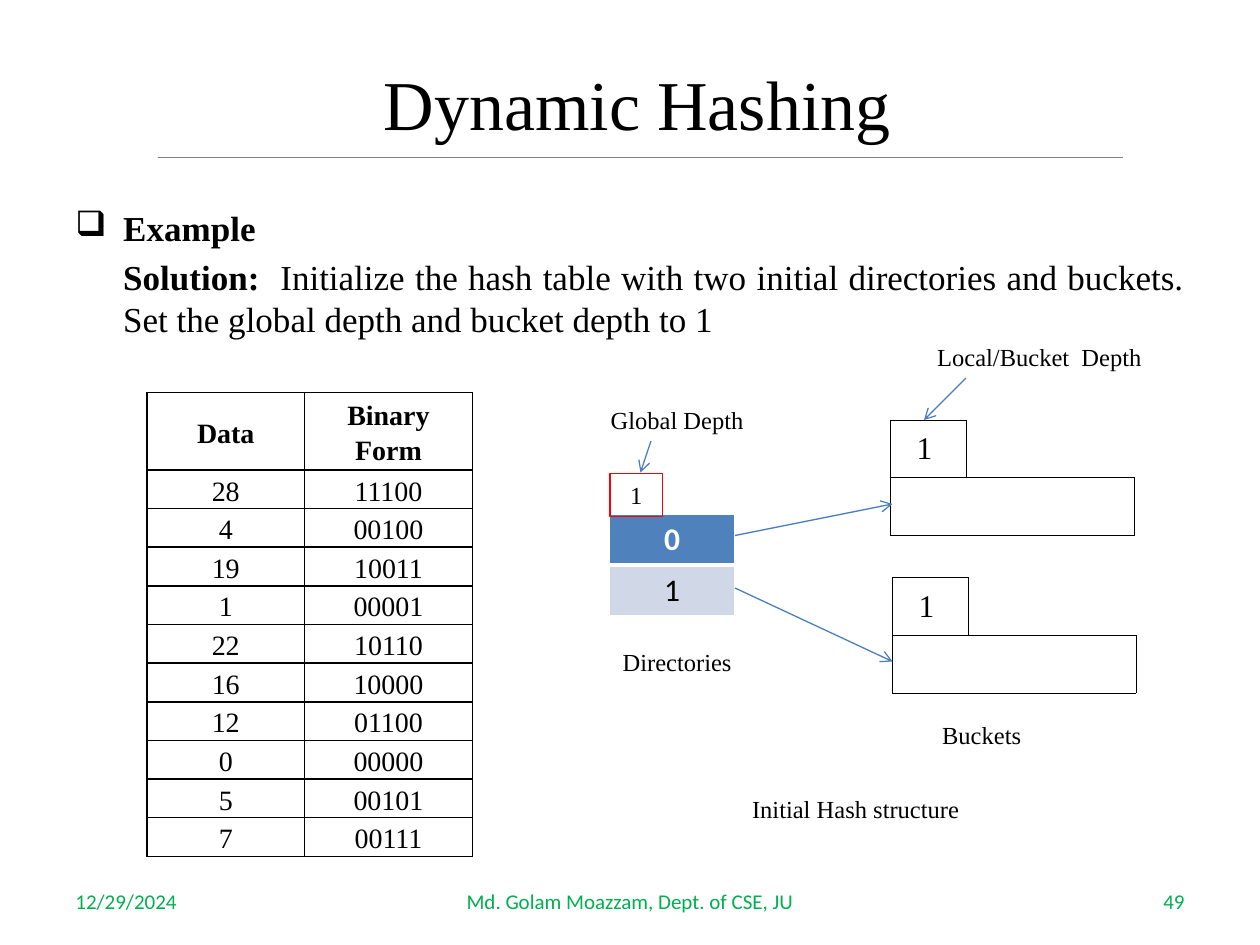
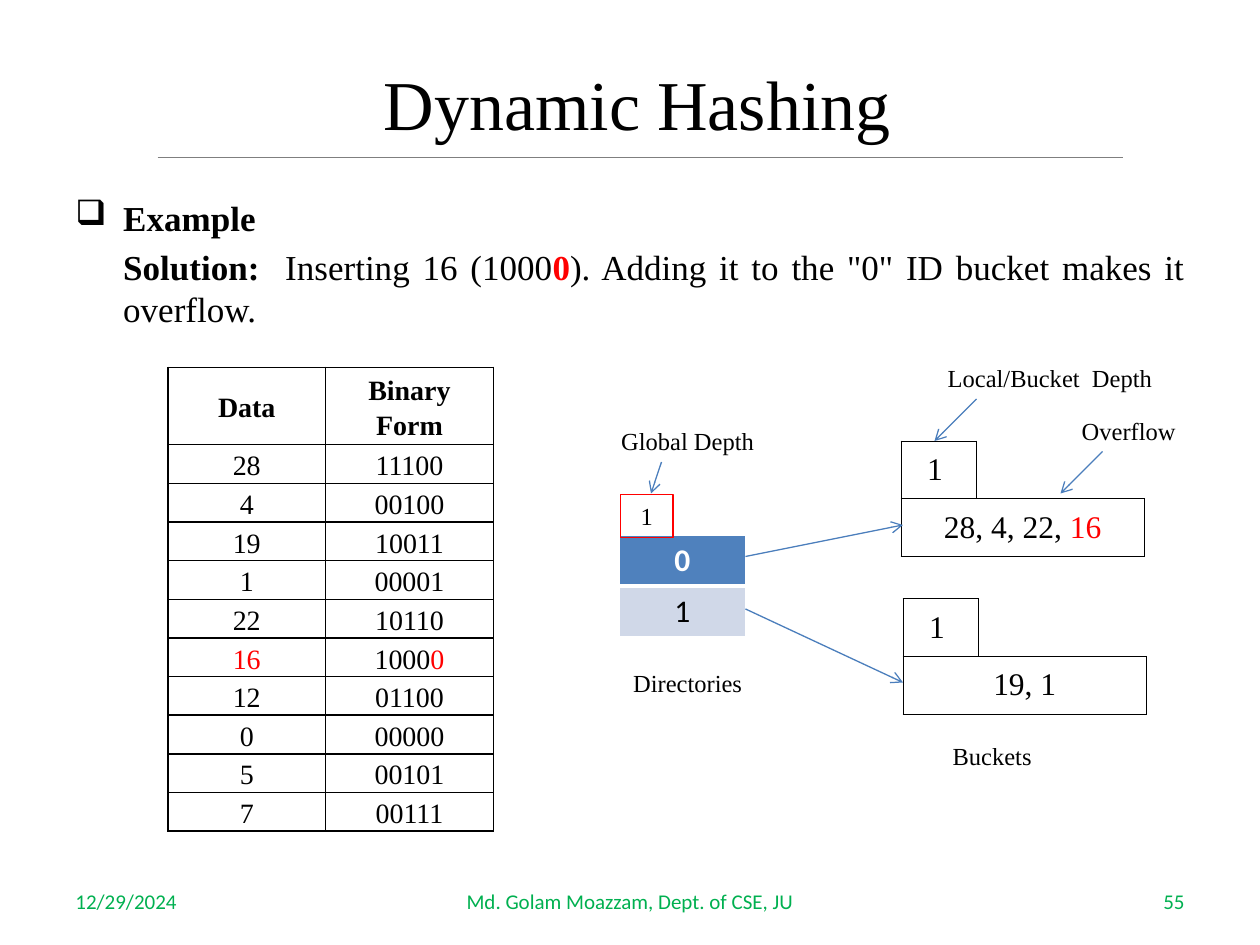
from lxml import etree
from pptx import Presentation
from pptx import util as u
from pptx.dml.color import RGBColor
from pptx.enum import shapes, text
from pptx.oxml.ns import qn

# The slide is a grid of 120 columns by 90 rows, each 1/12 inch.
COLUMNS, ROWS = 120, 90
SERIF, SANS = "Times New Roman", "Calibri"
BLACK, WHITE, RED, GREEN = "000000", "FFFFFF", "FF0000", "00B050"
RULE, ARROW, DIRECTORY, DIRECTORY_LIGHT = "7F7F7F", "4B7EBC", "4F81BD", "D0D8E8"
LEFT, CENTER, RIGHT = text.PP_ALIGN.LEFT, text.PP_ALIGN.CENTER, text.PP_ALIGN.RIGHT
MIDDLE = text.MSO_ANCHOR.MIDDLE

NUMBERS = [28, 4, 19, 1, 22, 16, 12, 0, 5, 7]


def grid(*units):
    return [u.Inches(unit / 12) for unit in units]


def rgb(color):
    return RGBColor.from_string(color)


def write(paragraph, words, size, color=BLACK, font=SERIF, bold=False, align=CENTER):
    """Fill a paragraph; whatever follows a bar in words is red."""
    plain, _, marked = words.partition("|")
    if plain:
        paragraph.add_run().text = plain
    if marked:
        run = paragraph.add_run()
        run.text = marked
        run.font.color.rgb = rgb(RED)
    paragraph.alignment = align
    paragraph.font.name = font
    paragraph.font.size = u.Pt(size)
    paragraph.font.bold = bold
    paragraph.font.color.rgb = rgb(color)


def add_label(slide, left, top, width, words, size=14, height=4, **style):
    box = slide.shapes.add_textbox(*grid(left, top, width, height))
    box.text_frame.word_wrap = True
    write(box.text_frame.paragraphs[0], words, size, **style)
    return box


def add_line(slide, start, end, color=ARROW, arrow=True):
    line = slide.shapes.add_connector(
        shapes.MSO_CONNECTOR.STRAIGHT, *grid(*start, *end))
    line.line.color.rgb = rgb(color)
    line.line.width = u.Pt(0.75)
    properties = line.element.spPr
    if arrow:
        outline = properties.find(qn("a:ln"))
        etree.SubElement(outline, qn("a:tailEnd"), type="arrow")
    etree.SubElement(properties, qn("a:effectLst"))


def add_table(slide, left, top, widths, heights):
    frame = slide.shapes.add_table(
        len(heights), len(widths), *grid(left, top, sum(widths), sum(heights)))
    table = frame.table
    table.first_row = table.horz_banding = False
    for column, width in zip(table.columns, grid(*widths)):
        column.width = width
    for row, height in zip(table.rows, grid(*heights)):
        row.height = height
    return table


def format_cell(cell, border, width, sides="LRTB", fill=None):
    """Draw the borders on the given sides, then the fill."""
    properties = cell._tc.get_or_add_tcPr()
    for side in sides:
        line = etree.SubElement(properties, qn("a:ln" + side), w=str(u.Pt(width)))
        solid = etree.SubElement(line, qn("a:solidFill"))
        etree.SubElement(solid, qn("a:srgbClr"), val=border)
    if fill:
        cell.fill.solid()
        cell.fill.fore_color.rgb = rgb(fill)
    else:
        cell.fill.background()


def set_margins(cell, left, right):
    cell.margin_left, cell.margin_right = u.Inches(left), u.Inches(right)
    cell.margin_top = cell.margin_bottom = 0
    cell.vertical_anchor = MIDDLE


def add_frame(presentation, number):
    """Add a slide with its title, rule and footer."""
    slide = presentation.slides.add_slide(presentation.slide_layouts[5])
    title = slide.shapes.title
    title.left, title.top, title.width, title.height = grid(15.2, 4.5, 91, 10.5)
    title.text_frame.vertical_anchor = MIDDLE
    write(title.text_frame.paragraphs[0], "Dynamic Hashing", 40)
    add_line(slide, (15, 15), (107, 15), RULE, arrow=False)
    footers = [
        (6, 28, "12/29/2024", LEFT),
        (41, 38, "Md. Golam Moazzam, Dept. of CSE, JU", CENTER),
        (86, 28, str(number), RIGHT),
    ]
    for left, width, words, align in footers:
        box = add_label(slide, left, 83.4, width, words, size=12, height=4.8,
                        color=GREEN, font=SANS, align=align)
        box.text_frame.vertical_anchor = MIDDLE
    return slide


def add_example(slide, top, solution):
    """Add the bulleted heading and the solution, given as (words, bold, color)."""
    box = slide.shapes.add_textbox(*grid(6, top, 108, 12))
    frame = box.text_frame
    frame.word_wrap = True
    heading, answer = frame.paragraphs[0], frame.add_paragraph()
    indent = u.Inches(0.38)
    for paragraph, first in ((heading, -indent), (answer, 0)):
        properties = paragraph._p.get_or_add_pPr()
        properties.set("marL", str(indent))
        properties.set("indent", str(first))
        paragraph.line_spacing = u.Pt(24)
    answer.space_before = u.Pt(4)
    etree.SubElement(heading._p.get_or_add_pPr(), qn("a:buChar"), char="❑")
    write(heading, "Example", 20, bold=True, align=text.PP_ALIGN.JUSTIFY)
    write(answer, "", 20, align=text.PP_ALIGN.JUSTIFY)
    for words, bold, color in solution:
        run = answer.add_run()
        run.text = words
        run.font.bold = bold
        run.font.color.rgb = rgb(color)


def add_data_table(slide, left, top, inserted=None):
    """List the numbers in binary, marking the inserted one and its last bit."""
    rows = [("Data", "Binary Form")]
    for number in NUMBERS:
        binary = f"{number:05b}"
        if number == inserted:
            rows.append((f"|{number}", f"{binary[:-1]}|{binary[-1]}"))
        else:
            rows.append((str(number), binary))
    table = add_table(slide, left, top, [15, 16], [6.8] + [3.4] * len(NUMBERS))
    for row, values in enumerate(rows):
        for column, words in enumerate(values):
            cell = table.cell(row, column)
            format_cell(cell, BLACK, 1)
            set_margins(cell, 0.07, 0.07)
            paragraph = cell.text_frame.paragraphs[0]
            paragraph.line_spacing = 1.15
            write(paragraph, words, 16, bold=row == 0)


def add_bucket(slide, left, top, content):
    table = add_table(slide, left, top, [7.2, 8, 8], [5.5, 5.5])
    for column, sides in enumerate(("LRTB", "LB", "B")):
        format_cell(table.cell(0, column), BLACK, 0.5, sides)
        format_cell(table.cell(1, column), BLACK, 0.5)
    table.cell(1, 0).merge(table.cell(1, 2))
    depth, keys = table.cell(0, 0), table.cell(1, 0)
    set_margins(depth, 0, 0.06)
    set_margins(keys, 0, 0)
    write(depth.text_frame.paragraphs[0], "1", 18)
    write(keys.text_frame.paragraphs[0], content, 18)


def add_directories(slide, left, top):
    table = add_table(slide, left, top, [12], [4.8, 4.8])
    styles = [("0", WHITE, DIRECTORY, 3), ("1", BLACK, DIRECTORY_LIGHT, 1)]
    for row, (words, color, fill, bottom) in enumerate(styles):
        cell = table.cell(row, 0)
        format_cell(cell, WHITE, 1, "LR")
        format_cell(cell, WHITE, 3 if row else 1, "T")
        format_cell(cell, WHITE, bottom, "B", fill)
        write(cell.text_frame.paragraphs[0], words, 18, color, SANS, bold=row == 0)


def add_global_depth(slide, left, top):
    box = slide.shapes.add_shape(
        shapes.MSO_SHAPE.RECTANGLE, *grid(left, top, 5, 4.1))
    box.shadow.inherit = False
    box.fill.background()
    box.line.color.rgb = rgb(RED)
    box.line.width = u.Pt(0.75)
    box.text_frame.vertical_anchor = MIDDLE
    write(box.text_frame.paragraphs[0], "1", 14)


def add_hash_structure(slide, left, top, buckets=("", ""), overflow=False, caption=None):
    """Draw directories pointing at buckets, measured from the left and top given."""
    add_bucket(slide, left + 28.8, top + 8, buckets[0])
    add_bucket(slide, left + 29, top + 23, buckets[1])
    add_directories(slide, left + 2, top + 17)
    add_global_depth(slide, left + 2.1, top + 13.1)

    labels = [
        (0, 6, 17, "Global Depth"),
        (0, 29, 17, "Directories"),
        (29, 36, 17, "Buckets"),
        (32, 0, 22, "Local/Bucket\u0020\N{NO-BREAK SPACE}Depth"),
    ]
    arrows = [
        ((36, 4), (32, 8)),
        ((6, 10), (5, 13)),
        ((14, 19), (29, 16)),
        ((14, 24), (29, 31)),
    ]
    if overflow:
        labels.append((43, 5, 15, "Overflow"))
        arrows.append(((48, 9), (44, 13)))
    if caption:
        labels.append((5, 43, 41, caption))
    for x, y, width, words in labels:
        add_label(slide, left + x, top + y, width, words)
    for start, end in arrows:
        add_line(slide, *((left + x, top + y) for x, y in (start, end)))


def add_initial_slide(presentation):
    slide = add_frame(presentation, 49)
    add_example(slide, 19.1, [
        ("Solution:  ", True, BLACK),
        ("Initialize the hash table with two initial directories and buckets. "
         "Set the global depth and bucket depth to 1", False, BLACK),
    ])
    add_data_table(slide, 14, 37.4)
    add_hash_structure(slide, 56, 32, caption="Initial Hash structure")


def add_overflow_slide(presentation):
    slide = add_frame(presentation, 55)
    add_example(slide, 18.1, [
        ("Solution:", True, BLACK),
        ("  Inserting 16 (1000", False, BLACK),
        ("0", True, RED),
        ("). Adding it to the \"0\" ID bucket makes it overflow.", False, BLACK),
    ])
    add_data_table(slide, 16, 35, inserted=16)
    add_hash_structure(slide, 57, 34, ("28, 4, 22, |16", "19, 1"), overflow=True)


def main():
    presentation = Presentation()
    presentation.slide_width, presentation.slide_height = grid(COLUMNS, ROWS)
    add_initial_slide(presentation)
    add_overflow_slide(presentation)
    presentation.save("out.pptx")


if __name__ == "__main__":
    main()
